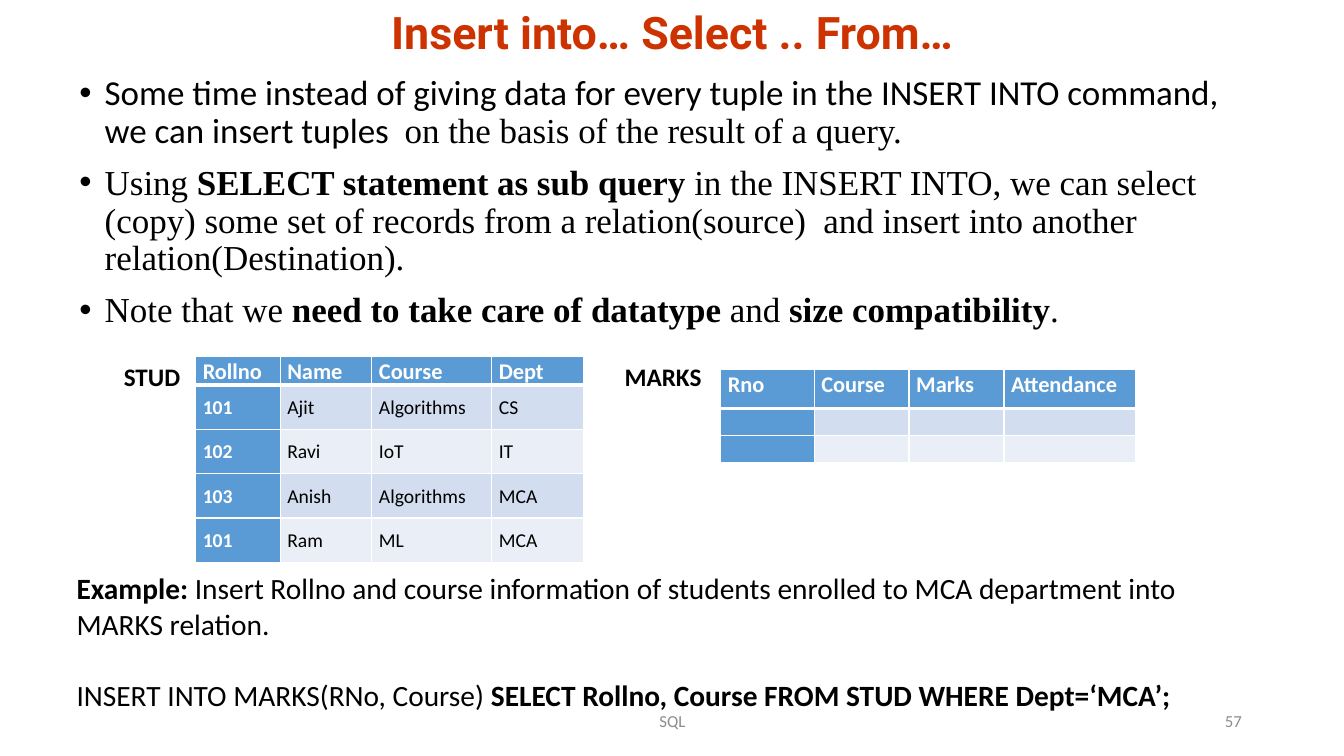
import pptx
import pptx.util
import pptx.dml.color
import pptx.enum.text
from dataclasses import dataclass
from lxml import etree

Cm, Pt = pptx.util.Cm, pptx.util.Pt
ALIGN, ANCHOR = pptx.enum.text.PP_ALIGN, pptx.enum.text.MSO_ANCHOR
DRAWING = "{http://schemas.openxmlformats.org/drawingml/2006/main}"


@dataclass(frozen=True)
class Theme:
    heading: str = "CC3300"
    text: str = "000000"
    footer: str = "8C8C8C"
    white: str = "FFFFFF"
    header: str = "5B9BD5"
    bands: tuple = ("D2DEEF", "EAEFF7")
    sans: str = "Calibri"
    serif: str = "Times New Roman"
    title_font: str = "Roboto"
    title_size: int = 32
    bullet_size: int = 25
    example_size: int = 21
    label_size: int = 18
    header_size: int = 16
    cell_size: int = 14
    footer_size: int = 12


theme = Theme()


def write(paragraph, runs, size, color=theme.text, font=theme.sans, bold=None):
    """Fill a paragraph with (text, bold, font) runs; None keeps the paragraph's value."""
    paragraph.font.size = Pt(size)
    paragraph.font.name = font
    paragraph.font.bold = bold
    paragraph.font.color.rgb = pptx.dml.color.RGBColor.from_string(color)
    for text, run_bold, run_font in runs:
        run = paragraph.add_run()
        run.text = text
        if run_bold is not None:
            run.font.bold = run_bold
        if run_font:
            run.font.name = run_font


def add_frame(left, top, width, height, anchor=ANCHOR.TOP):
    frame = slide.shapes.add_textbox(Cm(left), Cm(top), Cm(width), Cm(height)).text_frame
    frame.word_wrap = True
    frame.vertical_anchor = anchor
    return frame


deck = pptx.Presentation()
deck.slide_width, deck.slide_height = Cm(33.87), Cm(19.05)
slide = deck.slides.add_slide(deck.slide_layouts[5])

# Title
title = slide.shapes.title
title.left, title.top, title.width, title.height = Cm(2.34), Cm(-0.05), Cm(29.21), Cm(1.65)
title.text_frame.vertical_anchor = ANCHOR.BOTTOM
title.text_frame.auto_size = pptx.enum.text.MSO_AUTO_SIZE.NONE
heading = title.text_frame.paragraphs[0]
heading.alignment = ALIGN.CENTER
write(heading, [("Insert into… Select .. From…", None, None)],
      theme.title_size, theme.heading, theme.title_font, True)

# Bullet points
points = [
    [("Some time instead of giving data for every tuple in the INSERT INTO command, "
      "we can insert tuples  ", None, theme.sans),
     ("on the basis of the result of a query.", None, None)],
    [("Using ", None, None), ("SELECT statement as sub query ", True, None),
     ("in the INSERT INTO, we can select (copy) some set of records from a "
      "relation(source)  and insert into another relation(Destination).", None, None)],
    [("Note that we ", None, None), ("need to take care of datatype ", True, None),
     ("and ", None, None), ("size compatibility", True, None), (".", None, None)],
]
explanation = add_frame(1.75, 1.78, 30.4, 7.47)
for index, runs in enumerate(points):
    point = explanation.paragraphs[0] if index == 0 else explanation.add_paragraph()
    point.line_spacing = 0.9
    point.space_before = Pt(10)
    properties = point._p.get_or_add_pPr()
    properties.set("marL", str(Cm(0.64)))
    properties.set("indent", str(-Cm(0.64)))
    etree.SubElement(properties, DRAWING + "buFont", typeface="Arial")
    etree.SubElement(properties, DRAWING + "buChar", char="•")
    write(point, runs, theme.bullet_size, font=theme.serif)

# Relations: left, top, column widths, row heights, rows
relations = [
    (4.93, 8.97, [2.13, 2.31, 3.02, 2.31], [0.58] + [1.12] * 4,
     [["Rollno", "Name", "Course", "Dept"],
      ["101", "Ajit", "Algorithms", "CS"],
      ["102", "Ravi", "IoT", "IT"],
      ["103", "Anish", "Algorithms", "MCA"],
      ["101", "Ram", "ML", "MCA"]]),
    (18.16, 9.3, [2.36, 2.39, 2.39, 3.33], [0.99, 0.69, 0.69],
     [["Rno", "Course", "Marks", "Attendance"], [""] * 4, [""] * 4]),
]
for left, top, widths, heights, rows in relations:
    relation = slide.shapes.add_table(len(rows), len(widths), Cm(left), Cm(top),
                                      Cm(sum(widths)), Cm(sum(heights))).table
    relation.first_col = True
    for column, width in zip(relation.columns, widths):
        column.width = Cm(width)
    for r, (values, height) in enumerate(zip(rows, heights)):
        relation.rows[r].height = Cm(height)
        for c, value in enumerate(values):
            cell = relation.cell(r, c)
            is_key = r == 0 or c == 0
            cell.margin_left = cell.margin_right = Cm(0.18)
            cell.margin_top = cell.margin_bottom = 0
            cell.vertical_anchor = ANCHOR.TOP if r == 0 else ANCHOR.MIDDLE

            # White grid, heavier under the header
            for side in ("lnL", "lnR", "lnT", "lnB"):
                under_header = (r, side) in ((0, "lnB"), (1, "lnT"))
                line = etree.SubElement(cell._tc.get_or_add_tcPr(), DRAWING + side,
                                        w=str(Pt(3 if under_header else 1)))
                paint = etree.SubElement(line, DRAWING + "solidFill")
                etree.SubElement(paint, DRAWING + "srgbClr", val=theme.white)
            cell.fill.solid()
            cell.fill.fore_color.rgb = pptx.dml.color.RGBColor.from_string(
                theme.header if is_key else theme.bands[(r - 1) % 2])

            entry = cell.text_frame.paragraphs[0]
            entry.line_spacing = 1.07
            write(entry, [(value, None, None)] if value else [],
                  theme.header_size if r == 0 else theme.cell_size,
                  theme.white if is_key else theme.text, bold=is_key)

# Relation names
for name, left, width in [("STUD", 2.87, 2.01), ("MARKS", 15.49, 2.67)]:
    label = add_frame(left, 8.97, width, 1.02)
    write(label.paragraphs[0], [(name, None, None)], theme.label_size, bold=True)

# Example and its query
example = add_frame(1.68, 14.25, 28.45, 3.84)
write(example.paragraphs[0],
      [("Example:", True, None),
       (" Insert Rollno and course information of students enrolled to MCA department "
        "into MARKS relation.", None, None)], theme.example_size)
query = example.add_paragraph()
query.space_before = Pt(25.6)
write(query, [("INSERT INTO MARKS(RNo, Course) ", None, None),
              ("SELECT Rollno, Course FROM STUD WHERE Dept=‘MCA’;", True, None)],
      theme.example_size)

# Footer
for text, left, width, alignment in [("SQL", 11.23, 11.43, ALIGN.CENTER),
                                     ("57", 23.93, 7.62, ALIGN.RIGHT)]:
    footer = add_frame(left, 17.65, width, 1.02, ANCHOR.MIDDLE).paragraphs[0]
    footer.alignment = alignment
    write(footer, [(text, None, None)], theme.footer_size, theme.footer)

deck.save("out.pptx")
